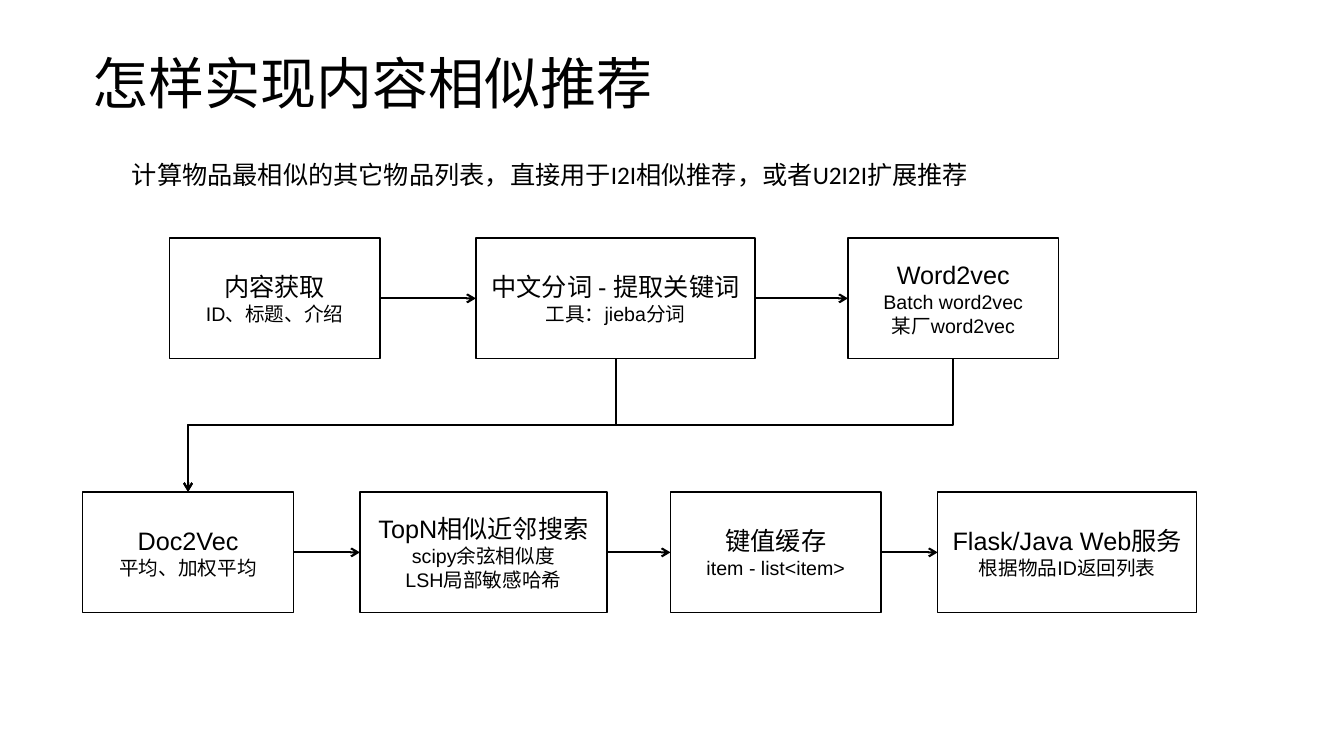
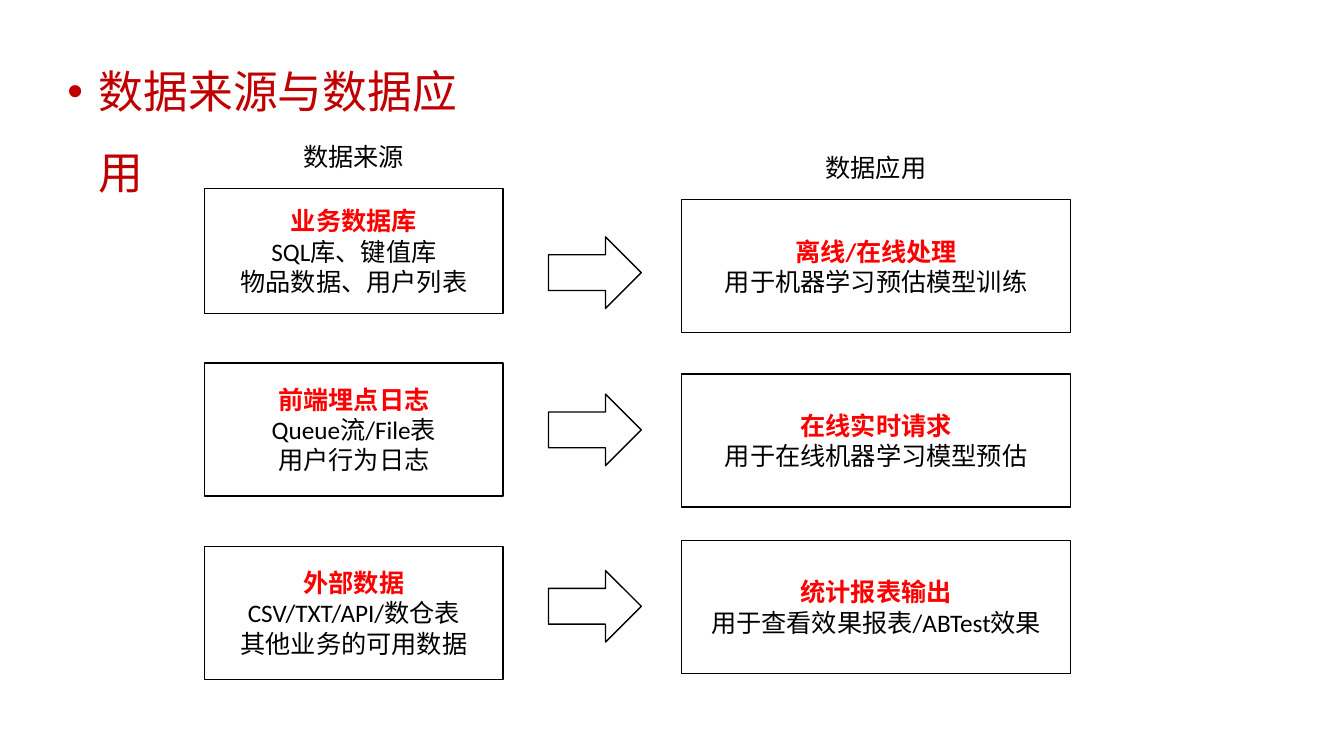
from lxml import etree
from pptx import Presentation
from pptx.dml.color import RGBColor
from pptx.enum.shapes import MSO_CONNECTOR, MSO_SHAPE
from pptx.enum.text import MSO_ANCHOR, PP_ALIGN
from pptx.oxml.ns import qn
from pptx.util import Inches, Pt

RECT, RIGHT_ARROW = MSO_SHAPE.RECTANGLE, MSO_SHAPE.RIGHT_ARROW
STRAIGHT, ELBOW = MSO_CONNECTOR.STRAIGHT, MSO_CONNECTOR.ELBOW
LEFT, CENTER = PP_ALIGN.LEFT, PP_ALIGN.CENTER
TOP, MIDDLE, BOTTOM = MSO_ANCHOR.TOP, MSO_ANCHOR.MIDDLE, MSO_ANCHOR.BOTTOM

BLACK, WHITE, RED, DARK_RED = "000000", "FFFFFF", "FF0000", "C00000"
SANS, BODY, CJK = "Arial", "Calibri", "Noto Sans CJK SC"
# Connection sites of a rectangle
SITE_TOP, SITE_LEFT, SITE_BOTTOM, SITE_RIGHT = range(4)


def rgb(value):
    return RGBColor.from_string(value)


class Deck:
    """Shared style and the slide being built."""

    def __init__(self):
        self.prs = Presentation()
        self.prs.slide_width = Inches(13.33)
        self.prs.slide_height = Inches(7.5)
        self.s = None

    def new_slide(self):
        self.s = self.prs.slides.add_slide(self.prs.slide_layouts[6])

    def run(self, p, text, size=18, font=BODY, color=BLACK, bold=False):
        r = p.add_run()
        r.text = text
        r.font.size, r.font.name, r.font.bold = Pt(size), font, bold
        r.font.color.rgb = rgb(color)
        etree.SubElement(r.font._element, qn("a:ea"), typeface=CJK)

    def text(self, x, y, w, h, text, wrap=True, anchor=TOP, spacing=1.0, **style):
        sp = self.s.shapes.add_textbox(Inches(x), Inches(y), Inches(w), Inches(h))
        tf = sp.text_frame
        tf.word_wrap, tf.vertical_anchor = wrap, anchor
        p = tf.paragraphs[0]
        p.alignment, p.line_spacing = LEFT, spacing
        self.run(p, text, **style)
        return p

    def title(self, text):
        self.text(0.82, 0.23, 10, 0.98, text, anchor=BOTTOM, spacing=0.9, size=40)

    def bullet_title(self, text):
        p = self.text(0.57, 0.32, 4.51, 0.91, text, spacing=1.5,
                      size=32, font=CJK, color=DARK_RED)
        pPr = p._p.get_or_add_pPr()
        pPr.set("marL", str(Inches(0.31)))
        pPr.set("indent", str(-Inches(0.31)))
        etree.SubElement(pPr, qn("a:buFont"), typeface=SANS)
        etree.SubElement(pPr, qn("a:buChar"), char="•")

    def shape(self, kind, x, y, w, h):
        sp = self.s.shapes.add_shape(kind, Inches(x), Inches(y), Inches(w), Inches(h))
        sp.shadow.inherit = False
        sp.fill.solid()
        sp.fill.fore_color.rgb = rgb(WHITE)
        sp.line.color.rgb = rgb(BLACK)
        sp.line.width = Pt(1)
        return sp

    def box(self, x, y, w, h, lines, head, body):
        """Box whose first line has the head style, the others the body style."""
        sp = self.shape(RECT, x, y, w, h)
        tf = sp.text_frame
        tf.word_wrap, tf.vertical_anchor = True, MIDDLE
        tf.margin_left = tf.margin_right = Inches(0.05)
        for i, line in enumerate(lines):
            p = tf.add_paragraph() if i else tf.paragraphs[0]
            p.alignment = CENTER
            self.run(p, line, **(body if i else head))
        return sp

    def connect(self, kind, start, start_site, end, end_site):
        c = self.s.shapes.add_connector(kind, 0, 0, 0, 0)
        c.begin_connect(start, start_site)
        c.end_connect(end, end_site)
        c.line.color.rgb = rgb(BLACK)
        c.line.width = Pt(1.5)
        etree.SubElement(c.line._get_or_add_ln(), qn("a:tailEnd"), type="arrow")
        etree.SubElement(c._element.spPr, qn("a:effectLst"))
        return c

    def arrow(self, start, end):
        self.connect(STRAIGHT, start, SITE_RIGHT, end, SITE_LEFT)

    def drop_arrow(self, start, end):
        """Down, left and down again: an elbow turned by 90 degrees."""
        c = self.connect(ELBOW, start, SITE_BOTTOM, end, SITE_TOP)
        span, drop = c.begin_x - c.end_x, c.end_y - c.begin_y
        mid_x, mid_y = (c.begin_x + c.end_x) // 2, (c.begin_y + c.end_y) // 2
        xfrm = c._element.spPr.find(qn("a:xfrm"))
        for flip in ("flipH", "flipV"):
            xfrm.attrib.pop(flip, None)
        xfrm.set("rot", str(90 * 60000))
        c.left, c.top = mid_x - drop // 2, mid_y - span // 2
        c.width, c.height = drop, span


def similar_content(deck):
    deck.new_slide()
    deck.title("怎样实现内容相似推荐")
    deck.text(1.21, 1.53, 8.49, 0.4,
              "计算物品最相似的其它物品列表，直接用于I2I相似推荐，或者U2I2I扩展推荐")

    # Two rows of steps: top, then left, width and lines of each box
    rows = [
        (2.36, [
            (1.68, 2.09, ["内容获取", "ID、标题、介绍"]),
            (4.72, 2.77, ["中文分词 - 提取关键词", "工具：jieba分词"]),
            (8.41, 2.09, ["Word2vec", "Batch word2vec", "某厂word2vec"]),
        ]),
        (4.88, [
            (0.82, 2.09, ["Doc2Vec", "平均、加权平均"]),
            (3.57, 2.45, ["TopN相似近邻搜索", "scipy余弦相似度", "LSH局部敏感哈希"]),
            (6.65, 2.09, ["键值缓存", "item - list<item>"]),
            (9.3, 2.57, ["Flask/Java Web服务", "根据物品ID返回列表"]),
        ]),
    ]
    head, body = dict(font=SANS), dict(font=SANS, size=14)
    upper, lower = [
        [deck.box(x, y, w, 1.2, lines, head, body) for x, w, lines in steps]
        for y, steps in rows
    ]

    # Arrows along each row, then down to the second row
    for row in (upper, lower):
        for start, end in zip(row, row[1:]):
            deck.arrow(start, end)
    for start in upper[1:]:
        deck.drop_arrow(start, lower[0])


def data_sources(deck):
    deck.new_slide()
    deck.bullet_title("数据来源与数据应用")

    # Columns: left, width, heading (left, top, text), boxes (top, height, lines)
    columns = [
        (2.03, 2.96, (2.91, 1.35, "数据来源"), [
            (1.87, 1.24, ["业务数据库", "SQL库、键值库", "物品数据、用户列表"]),
            (3.6, 1.32, ["前端埋点日志", "Queue流/File表", "用户行为日志"]),
            (5.42, 1.32, ["外部数据", "CSV/TXT/API/数仓表", "其他业务的可用数据"]),
        ]),
        (6.76, 3.86, (8.09, 1.46, "数据应用"), [
            (1.98, 1.32, ["离线/在线处理", "用于机器学习预估模型训练"]),
            (3.71, 1.32, ["在线实时请求", "用于在线机器学习模型预估"]),
            (5.36, 1.32, ["统计报表输出", "用于查看效果报表/ABTest效果"]),
        ]),
    ]
    head, body = dict(color=RED, bold=True), {}
    for x, w, (label_x, label_y, label), boxes in columns:
        deck.text(label_x, label_y, 1.2, 0.4, label, wrap=False)
        for y, h, lines in boxes:
            deck.box(x, y, w, h, lines, head, body)

    # Block arrows between the columns
    for y in (2.35, 3.91, 5.66):
        deck.shape(RIGHT_ARROW, 5.44, y, 0.92, 0.71)


def main():
    deck = Deck()
    similar_content(deck)
    data_sources(deck)
    deck.prs.save("out.pptx")


if __name__ == "__main__":
    main()
